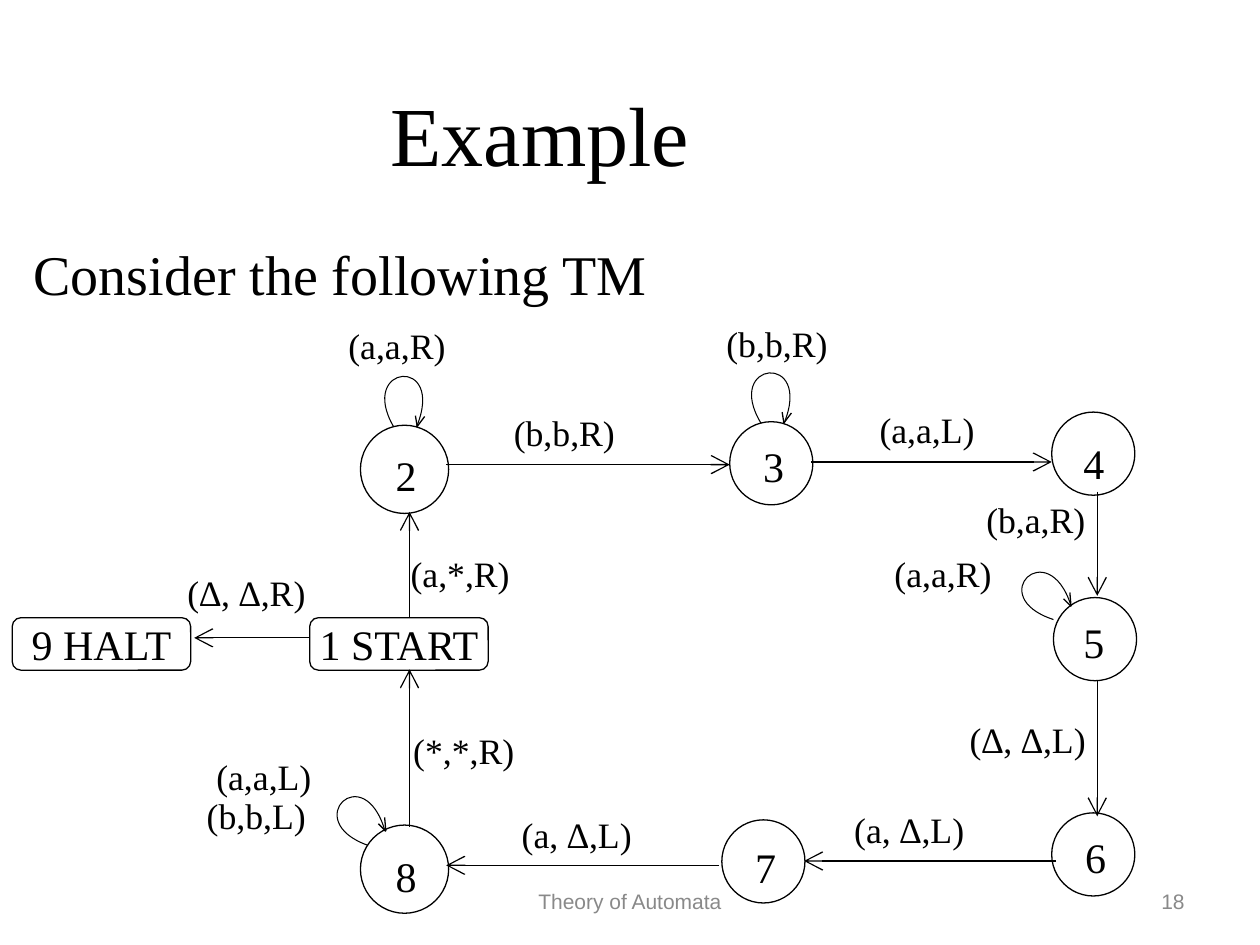
from lxml.etree import SubElement
from pptx import Presentation
from pptx.dml.color import RGBColor
from pptx.enum.shapes import MSO_CONNECTOR, MSO_SHAPE
from pptx.enum.text import MSO_ANCHOR, PP_ALIGN
from pptx.oxml.ns import qn
from pptx.util import Pt

COLORS = {"ink": "000000", "paper": "FFFFFF", "footer": "898989"}
SERIF, SANS = "Times New Roman", "Arial"

# name: (left, top, diameter, digit offset x, digit offset y)
STATES = {
    "2": (199, 60, 50.4, 13, 8),
    "3": (410, 58, 47.5, 12, 5),
    "4": (594, 52.5, 47.5, 11, 9),
    "5": (595, 158.5, 47.5, 10, 5),
    "6": (594, 281.5, 47.5, 12, 5),
    "7": (405.5, 285.5, 47.5, 12, 6.5),
    "8": (199, 288.5, 50.4, 13, 8.5),
}
TERMINALS = {"1 START": (170, 170), "9 HALT": (0, 170)}
ARROWS = [
    (170, 181.5, 104, 181.5),
    (227, 170, 227, 109.5),
    (227, 289.5, 227, 199.5),
    (404, 311.5, 248, 311.5),
    (596.5, 309, 452.5, 309),
    (620, 206, 620, 283.5),
    (248, 82.5, 410, 82.5),
    (456.5, 81, 594, 81),
    (620, 98, 620, 157.5),
]
LABELS = [
    ("(∆, ∆,R)", 93, 142.5),
    ("(a,*,R)", 220.5, 131.5),
    ("(*,*,R)", 222, 232.5),
    ("(a,a,L)", 109.5, 247.5),
    ("(b,b,L)", 104, 270),
    ("(a, ∆,L)", 284, 280.5),
    ("(a, ∆,L)", 474, 278),
    ("(∆, ∆,L)", 540, 226.5),
    ("(a,a,R)", 497, 131.5),
    ("(b,a,R)", 549.5, 100.5),
    ("(a,a,L)", 488.5, 49.5),
    ("(b,b,R)", 401, 0),
    ("(b,b,R)", 279.5, 51),
    ("(a,a,R)", 185, 1.5),
]
# curve points (start, two controls, tip) and the far ends of the arrowhead
TOP_LOOP = ([(-5.8, 0.7), (-27.4, -35.3), (23.8, -39.6), (7.2, 0.7)], [(11.5, -5), (6.2, -5.5)])
SIDE_LOOP = ([(-23.8, 13), (-63.4, -0.7), (-26.6, -36.7), (-13.7, 5)], [(-14.4, -2.9), (-18, 0.7)])
LOOPS = [("2", TOP_LOOP, 0, 0), ("3", TOP_LOOP, 0, 0), ("5", SIDE_LOOP, 0, 0), ("8", SIDE_LOOP, 3, -1.5)]


def color(name):
    """Return the named colour."""
    return RGBColor.from_string(COLORS[name])


def write(shape, text, size, font=SERIF, ink="ink", align=PP_ALIGN.LEFT,
          anchor=MSO_ANCHOR.TOP, top=3.6, spacing=None, wrap=True):
    """Fill a shape with one formatted line of text."""
    frame = shape.text_frame
    frame.word_wrap = wrap
    frame.vertical_anchor = anchor
    frame.margin_left = frame.margin_right = Pt(7.2)
    frame.margin_top, frame.margin_bottom = Pt(top), Pt(3.6)
    paragraph = frame.paragraphs[0]
    paragraph.alignment = align
    paragraph.space_before = Pt(0)
    if spacing:
        paragraph.line_spacing = spacing
    run = paragraph.add_run()
    run.text = text
    run.font.size, run.font.name = Pt(size), font
    run.font.color.rgb = color(ink)
    return paragraph


def add_text(slide, box, text, size, **options):
    """Add a text box at the given box."""
    write(slide.shapes.add_textbox(*map(Pt, box)), text, size, **options)


def outline(shape, width=0.75):
    """Give a shape or connector a plain dark line."""
    shape.line.color.rgb = color("ink")
    shape.line.width = Pt(width)


def add_line(slide, start, end, arrow=False):
    """Draw a straight line, with an open arrowhead if asked."""
    connector = slide.shapes.add_connector(MSO_CONNECTOR.STRAIGHT, *map(Pt, (*start, *end)))
    outline(connector)
    properties = connector._element.spPr
    if arrow:
        SubElement(properties.find(qn("a:ln")), qn("a:tailEnd"), type="arrow", w="lg", len="lg")
    SubElement(properties, qn("a:effectLst"))


def add_preset(slide, kind, box):
    """Add an outlined preset shape."""
    shape = slide.shapes.add_shape(kind, *map(Pt, box))
    shape.shadow.inherit = False
    outline(shape)
    return shape


def add_loop(slide, left, top, loop):
    """Draw a curved self-transition with its arrowhead from an anchor point."""
    curve, barbs = loop
    points = [(left + x, top + y) for x, y in curve]
    builder = slide.shapes.build_freeform(*points[0], scale=Pt(1))
    builder.add_line_segments(points[1:], close=False)
    shape = builder.convert_to_shape()
    shape.shadow.inherit = False
    shape.fill.background()
    outline(shape, 0.6)
    outline_path = next(shape._element.iter(qn("a:path")))
    segments = outline_path.findall(qn("a:lnTo"))
    cubic = SubElement(outline_path, qn("a:cubicBezTo"))
    for segment in segments:
        cubic.append(segment[0])
        outline_path.remove(segment)
    for x, y in barbs:
        add_line(slide, points[-1], (left + x, top + y))


def add_diagram(slide, left, top):
    """Draw the Turing machine with its corner at the given point."""
    for state_left, state_top, size, _, _ in STATES.values():
        circle = add_preset(slide, MSO_SHAPE.OVAL, (left + state_left, top + state_top, size, size))
        circle.fill.solid()
        circle.fill.fore_color.rgb = color("paper")
    for name, loop, dx, dy in LOOPS:
        state_left, state_top, size = STATES[name][:3]
        add_loop(slide, left + state_left + size / 2 + dx, top + state_top + dy, loop)
    for name, (x, y) in TERMINALS.items():
        terminal = add_preset(slide, MSO_SHAPE.ROUNDED_RECTANGLE, (left + x, top + y, 102, 30))
        terminal.fill.background()
        write(terminal, name, 24, align=PP_ALIGN.CENTER, anchor=MSO_ANCHOR.MIDDLE, wrap=False)
    for x1, y1, x2, y2 in ARROWS:
        add_line(slide, (left + x1, top + y1), (left + x2, top + y2), arrow=True)
    for text, x, y in LABELS:
        add_text(slide, (left + x, top + y, 123, 33), text, 20.4, spacing=0.9)
    for name, (x, y, _, dx, dy) in STATES.items():
        add_text(slide, (left + x + dx, top + y + dy, 36, 36), name, 24, top=5.8)


def place(placeholder, box, text, size):
    """Move a placeholder to a box and write its text."""
    placeholder.left, placeholder.top, placeholder.width, placeholder.height = map(Pt, box)
    return write(placeholder, text, size, top=8)


def add_heading(slide):
    """Fill the title and the introductory line."""
    title, body = slide.placeholders
    place(title, (216, 39, 378, 65), "Example", 48)
    paragraph = place(body, (12, 129, 612, 46), "Consider the following TM", 32)
    properties = paragraph._p.get_or_add_pPr()
    properties.set("marL", "0")
    properties.set("indent", "0")
    SubElement(properties, qn("a:buNone"))


def add_footer(slide, top):
    """Add the course name and the page number at the given height."""
    style = {"font": SANS, "ink": "footer", "anchor": MSO_ANCHOR.MIDDLE}
    add_text(slide, (516, top, 168, 29), "18", 12, align=PP_ALIGN.RIGHT, **style)
    add_text(slide, (246, top, 228, 29), "Theory of Automata", 12, align=PP_ALIGN.CENTER, **style)


def main():
    """Build and save the presentation."""
    presentation = Presentation()
    presentation.slide_width, presentation.slide_height = Pt(720), Pt(540)
    slide = presentation.slides.add_slide(presentation.slide_layouts[1])
    add_heading(slide)
    add_diagram(slide, 7, 183)
    add_footer(slide, 500.5)
    presentation.save("out.pptx")


if __name__ == "__main__":
    main()
